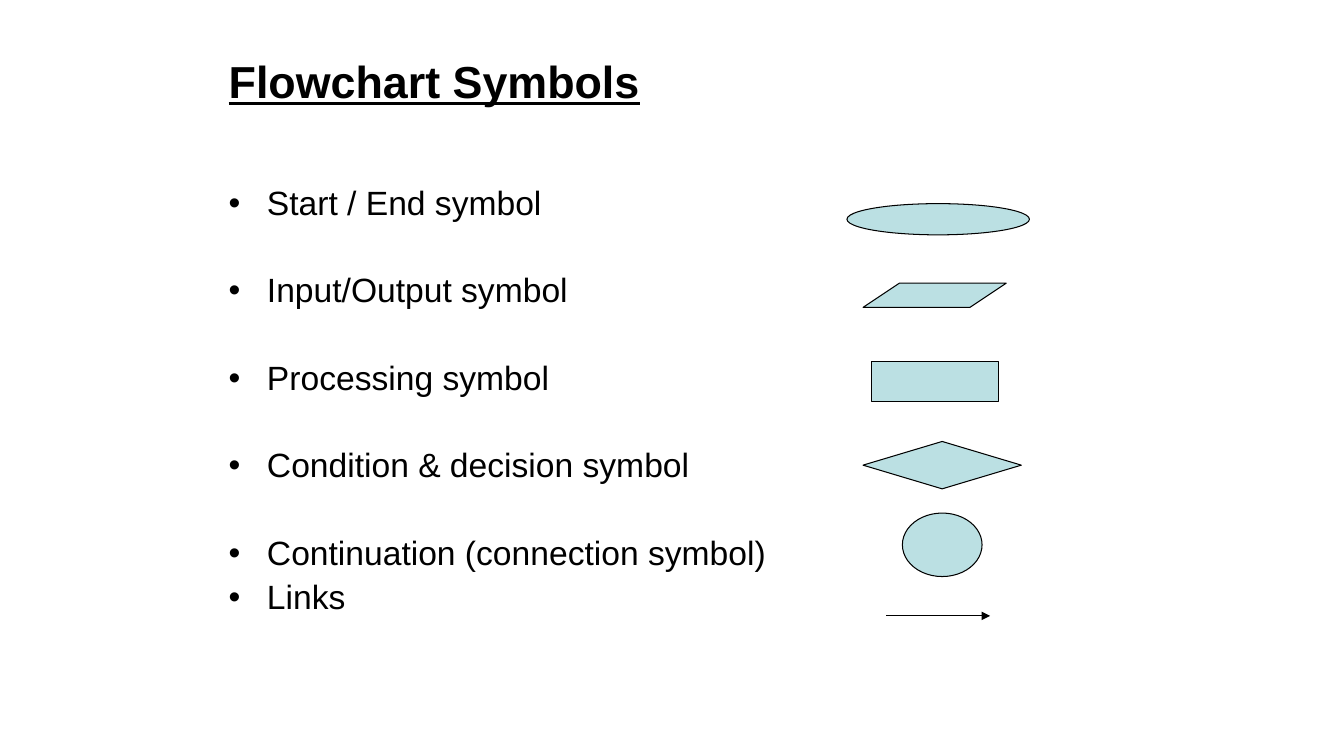
from lxml import etree
from pptx import Presentation
from pptx.dml.color import RGBColor
from pptx.enum.shapes import MSO_CONNECTOR, MSO_SHAPE
from pptx.enum.text import MSO_ANCHOR
from pptx.oxml.ns import qn
from pptx.util import Inches, Pt

COLORS = {"ink": "000000", "symbol": "BBE0E3"}
INK = RGBColor.from_string(COLORS["ink"])

presentation = Presentation()
presentation.slide_width = Inches(13.33)
presentation.slide_height = Inches(7.5)
slide = presentation.slides.add_slide(presentation.slide_layouts[6])


def add_text_frame(top, height):
    box = slide.shapes.add_textbox(Inches(2.17), Inches(top), Inches(9), Inches(height))
    box.text_frame.word_wrap = True
    return box.text_frame


def style_text(paragraph, size):
    paragraph.font.name = "Arial"
    paragraph.font.size = Pt(size)
    paragraph.font.color.rgb = INK


# Title
title_frame = add_text_frame(0.3, 1)
title_frame.vertical_anchor = MSO_ANCHOR.MIDDLE
title = title_frame.paragraphs[0]
title.text = "Flowchart Symbols"
style_text(title, 32)
title.font.bold = True
title.font.underline = True

# Bulleted names: text, space before in points
names = [
    ("Start / End symbol", 0),
    ("Input/Output symbol", 36.6),
    ("Processing symbol", 36.6),
    ("Condition & decision symbol", 36.6),
    ("Continuation (connection symbol)", 36.6),
    ("Links", 5.9),
]
names_frame = add_text_frame(1.8, 4.62)
for index, (name, space_before) in enumerate(names):
    paragraph = names_frame.paragraphs[0] if index == 0 else names_frame.add_paragraph()
    paragraph.text = name
    paragraph.line_spacing = 0.9
    paragraph.space_before = Pt(space_before)
    properties = paragraph._p.get_or_add_pPr()
    properties.set("marL", str(Inches(0.38)))
    properties.set("indent", str(-Inches(0.38)))
    etree.SubElement(properties, qn("a:buFont"), typeface="Arial")
    etree.SubElement(properties, qn("a:buChar"), char="•")
    style_text(paragraph, 24)

# Symbols: kind, left, top, width, height
symbols = [
    (MSO_SHAPE.OVAL, 8.4, 2.02, 1.81, 0.31),
    (MSO_SHAPE.PARALLELOGRAM, 8.56, 2.81, 1.42, 0.24),
    (MSO_SHAPE.RECTANGLE, 8.64, 3.59, 1.26, 0.39),
    (MSO_SHAPE.DIAMOND, 8.56, 4.38, 1.57, 0.47),
    (MSO_SHAPE.OVAL, 8.95, 5.09, 0.79, 0.63),
]
for kind, *bounds in symbols:
    shape = slide.shapes.add_shape(kind, *map(Inches, bounds))
    shape.shadow.inherit = False
    shape.fill.solid()
    shape.fill.fore_color.rgb = RGBColor.from_string(COLORS["symbol"])
    shape.line.color.rgb = INK
    shape.line.width = Pt(0.75)
    if kind == MSO_SHAPE.PARALLELOGRAM:
        shape.adjustments[0] = 1.5

# Link arrow
arrow = slide.shapes.add_connector(
    MSO_CONNECTOR.STRAIGHT, Inches(8.79), Inches(6.11), Inches(9.82), Inches(6.11)
)
arrow.line.color.rgb = INK
arrow.line.width = Pt(0.75)
etree.SubElement(arrow.line._get_or_add_ln(), qn("a:tailEnd"), type="triangle")
etree.SubElement(arrow._element.spPr, qn("a:effectLst"))

presentation.save("out.pptx")
